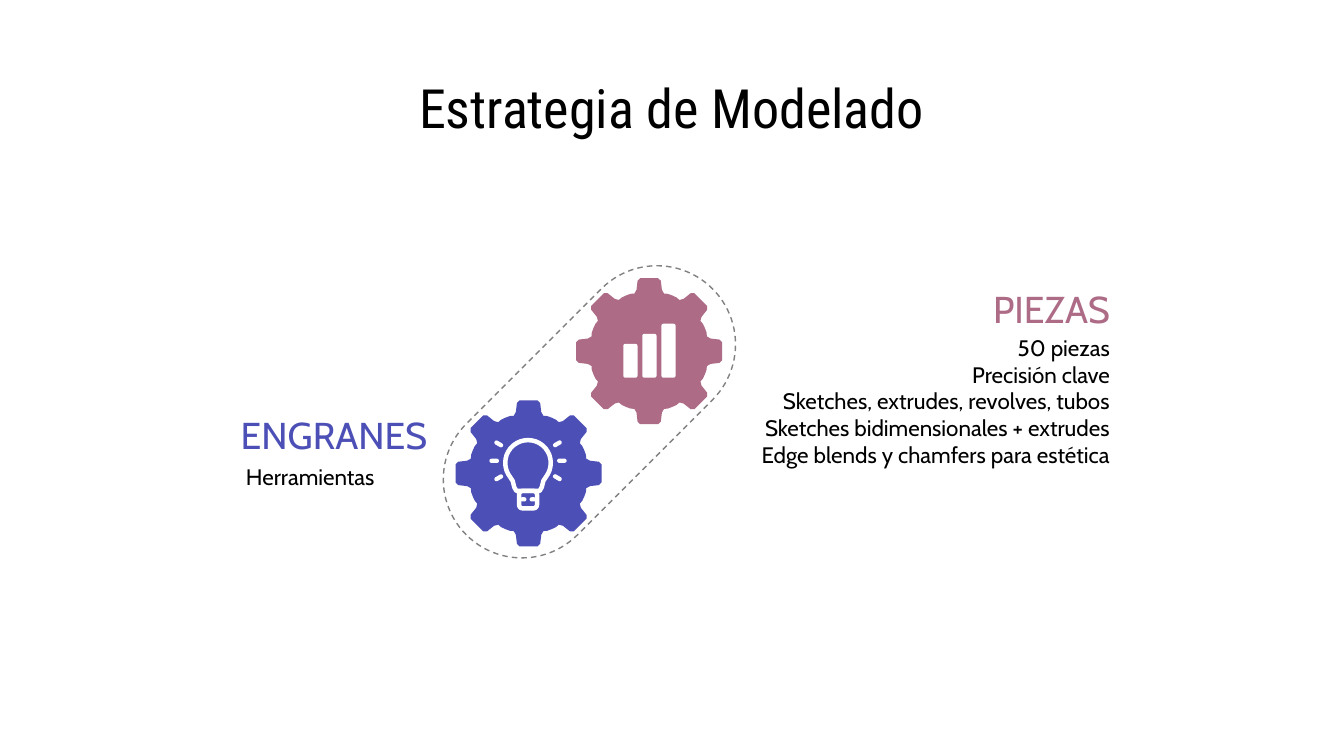
from math import cos, radians, sin

from pptx import Presentation
from pptx.dml.color import RGBColor
from pptx.enum.dml import MSO_LINE
from pptx.enum.shapes import MSO_SHAPE
from pptx.enum.text import MSO_ANCHOR, PP_ALIGN
from pptx.util import Cm, Pt

BLUE = RGBColor(0x4C, 0x4F, 0xB6)
ROSE = RGBColor(0xAD, 0x6B, 0x86)
GRAY = RGBColor(0x81, 0x81, 0x81)
BLACK = RGBColor(0, 0, 0)
WHITE = RGBColor(255, 255, 255)

LEFT, CENTER, RIGHT = PP_ALIGN.LEFT, PP_ALIGN.CENTER, PP_ALIGN.RIGHT
TOP, MIDDLE = MSO_ANCHOR.TOP, MSO_ANCHOR.MIDDLE
ROUNDED = MSO_SHAPE.ROUNDED_RECTANGLE
DASH = MSO_LINE.DASH

TITLE = {"name": "Roboto Condensed", "size": Pt(29)}
HEADING = {"name": "Cabin", "size": Pt(20)}
BODY = {"name": "Cabin", "size": Pt(12)}
STROKE = {"color": WHITE, "width": 2.4}


class SlideBuilder:
    """Draws on one slide; all lengths are centimetres."""

    def __init__(self, slide):
        self.s = slide

    def text(self, box, lines, font, color=BLACK, align=LEFT, anchor=MIDDLE):
        tf = self.s.shapes.add_textbox(*map(Cm, box)).text_frame
        frame = {"word_wrap": True, "vertical_anchor": anchor}
        frame.update(dict.fromkeys(
            ("margin_left", "margin_top", "margin_right", "margin_bottom"), Cm(0.25)))
        for name, value in frame.items():
            setattr(tf, name, value)
        for i, line in enumerate(lines):
            p = tf.add_paragraph() if i else tf.paragraphs[0]
            p.alignment = align
            r = p.add_run()
            r.text = line
            for name, value in font.items():
                setattr(r.font, name, value)
            r.font.color.rgb = color

    def paint(self, sp, fill=None, line=None):
        sp.shadow.inherit = False
        if fill is None:
            sp.fill.background()
        else:
            sp.fill.solid()
            sp.fill.fore_color.rgb = fill
        if line is None:
            sp.line.fill.background()
        else:
            sp.line.color.rgb = line["color"]
            sp.line.width = Pt(line["width"])
            if "dash" in line:
                sp.line.dash_style = line["dash"]

    def rounded(self, box, radius=0.5, rotation=0, **style):
        sp = self.s.shapes.add_shape(ROUNDED, *map(Cm, box))
        sp.adjustments[0] = radius
        sp.rotation = rotation
        self.paint(sp, **style)

    def outline(self, points, **style):
        pts = [(Cm(x), Cm(y)) for x, y in points]
        builder = self.s.shapes.build_freeform(*pts[0])
        builder.add_line_segments(pts[1:], close=True)
        self.paint(builder.convert_to_shape(), **style)

    def gear(self, cx, cy, color, teeth=8):
        # Each pair is (sideways offset, distance from the gear centre).
        flank = [(0.28, 1.09), (0.24, 1.16), (0.22, 1.33), (0.17, 1.38)]
        step = 360 / teeth
        valley = [(1.14 * sin(radians(step * f)), 1.14 * cos(radians(step * f)))
                  for f in (0.4, 0.5, 0.6)]
        tooth = [(-x, d) for x, d in flank] + flank[::-1] + valley
        points = []
        for i in range(teeth):
            a = radians(i * step)
            points += [(cx + d * sin(a) + x * cos(a), cy - d * cos(a) + x * sin(a))
                       for x, d in tooth]
        self.outline(points, fill=color)

    def bulb(self, cx, cy):
        glass = [(0.43 * cos(radians(a)), 0.43 * sin(radians(a)))
                 for a in range(150, 391, 10)]
        neck = [(0.29, 0.34), (0.26, 0.46), (0.22, 0.53)]
        profile = glass + neck + [(-x, y) for x, y in neck[::-1]]
        self.outline([(cx + x, cy + y) for x, y in profile], line=STROKE)
        self.rounded((cx - 0.17, cy + 0.53, 0.34, 0.33), 0.2, line=STROKE)
        for side in (-1, 1):
            self.rounded((cx + side * 0.09 - 0.06, cy + 0.65, 0.12, 0.08), fill=WHITE)
        for angle in (-30, 0, 30, 150, 180, 210):
            x = cx + 0.64 * cos(radians(angle))
            y = cy - 0.04 + 0.64 * sin(radians(angle))
            self.rounded((x - 0.09, y - 0.04, 0.18, 0.08), rotation=angle, fill=WHITE)

    def bars(self, left, bottom):
        for i, height in enumerate((0.64, 0.83, 1.02)):
            self.rounded((left + i * 0.36, bottom - height, 0.27, height), 0.15, fill=WHITE)


def main():
    prs = Presentation()
    prs.slide_width, prs.slide_height = Cm(25.4), Cm(14.29)
    b = SlideBuilder(prs.slides.add_slide(prs.slide_layouts[6]))

    b.text((1.27, 1.16, 22.86, 1.27), ["Estrategia de Modelado"], TITLE,
           align=CENTER, anchor=TOP)
    b.rounded((7.85, 6.3, 6.58, 2.97), rotation=315,
              line={"color": GRAY, "width": 0.75, "dash": DASH})

    b.gear(9.99, 8.95, BLUE)
    b.bulb(9.98, 8.75)
    b.text((4.3, 7.76, 4.09, 0.91), ["ENGRANES"], HEADING, BLUE)
    b.text((4.4, 8.69, 3.15, 0.64), ["Herramientas"], BODY)

    b.gear(12.27, 6.64, ROSE)
    b.bars(11.78, 7.14)
    b.text((14.58, 5.38, 6.65, 0.91), ["PIEZAS"], HEADING, ROSE, RIGHT)
    b.text((13.31, 6.12, 7.92, 2.92),
           ["50 piezas", "Precisión clave", "Sketches, extrudes, revolves, tubos",
            "Sketches bidimensionales + extrudes", "Edge blends y chamfers para estética"],
           BODY, align=RIGHT)

    prs.save("out.pptx")


if __name__ == "__main__":
    main()
